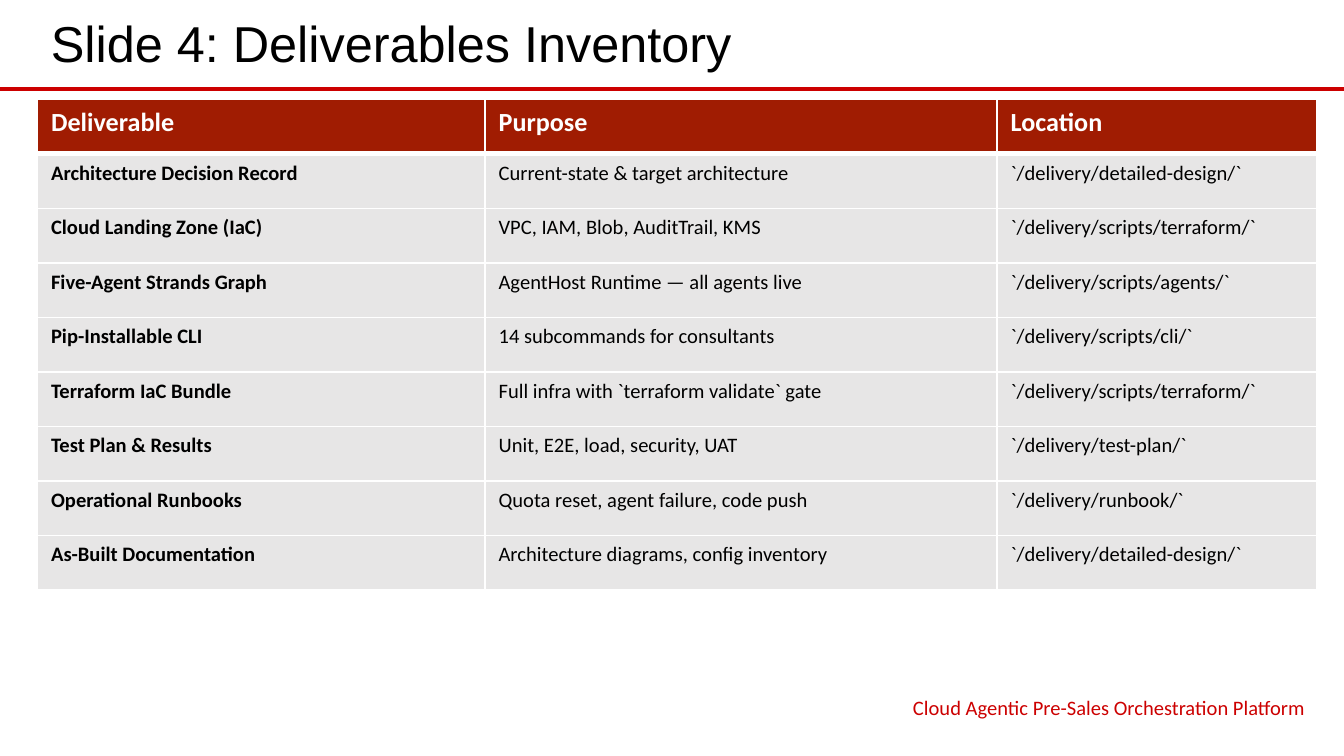
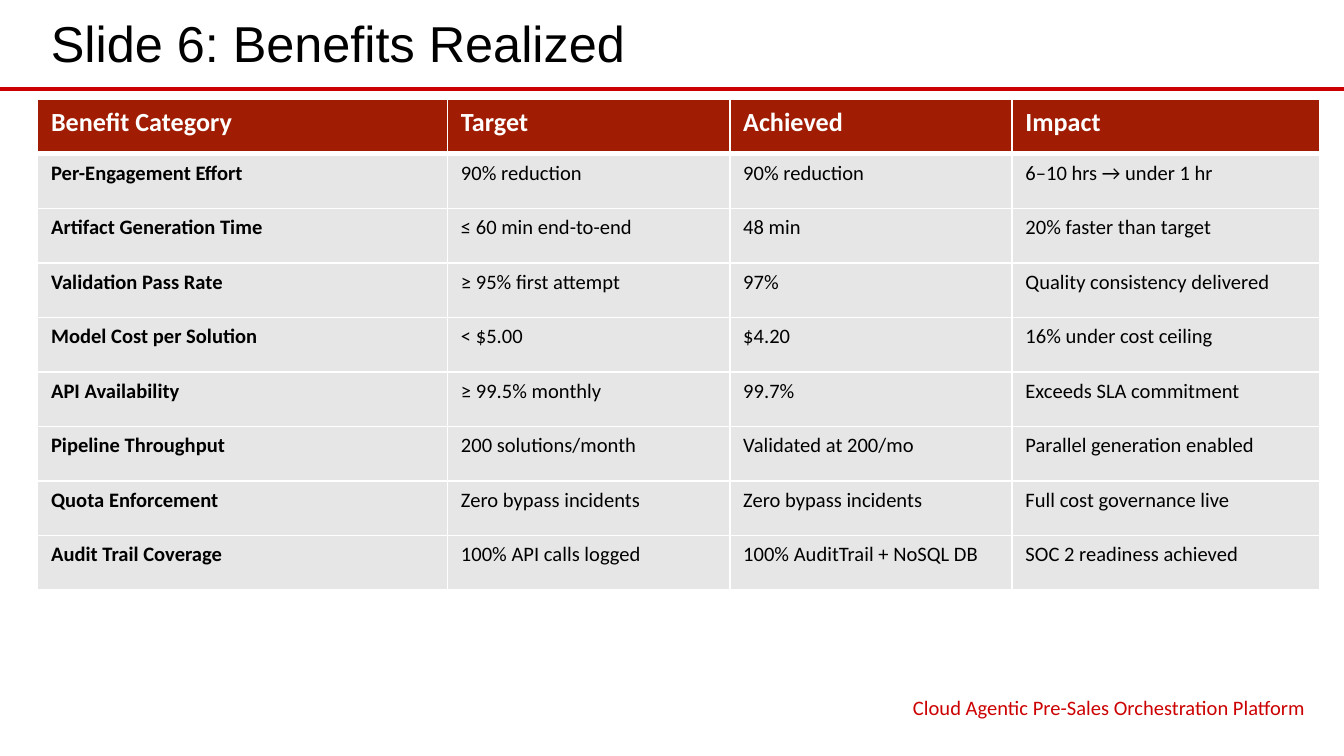
from dataclasses import dataclass

from lxml import etree
from pptx import Presentation
from pptx import util as u
from pptx.dml.color import RGBColor
from pptx.enum import shapes, text
from pptx.oxml import ns


@dataclass(frozen=True)
class Theme:
    accent: str = "CC0000"
    header_fill: str = "A01C02"
    body_fill: str = "E7E6E6"
    light: str = "FFFFFF"
    dark: str = "000000"
    title_font: str = "Arial"
    body_font: str = "Calibri"
    title_size: float = 27
    header_size: float = 14
    body_size: float = 11
    rule_width: float = 2.25
    border: float = 1
    header_border: float = 3


FOOTER = "Cloud Agentic Pre-Sales Orchestration Platform"
LEFT, CONTENT_WIDTH = 0.28, 9.53
TABLE_TOP, TABLE_HEIGHT = 0.74, 3.65
SLIDE_WIDTH = 10
SLIDE_HEIGHT = SLIDE_WIDTH * 9 / 16
RULE_Y = 0.66


class Deck:
    """Holds the style and the slide being built."""

    def __init__(self, theme):
        self.theme = theme
        self.prs = Presentation()
        self.prs.slide_width = u.Inches(SLIDE_WIDTH)
        self.prs.slide_height = u.Inches(SLIDE_HEIGHT)
        self.slide = None

    def new_slide(self, title):
        theme = self.theme
        self.slide = self.prs.slides.add_slide(self.prs.slide_layouts[6])
        self.rule(RULE_Y)
        self.label(title, (LEFT, 0.04, CONTENT_WIDTH, 0.58),
                   theme.title_font, theme.title_size, theme.dark)

    def style(self, paragraph, font, size, color, bold=False):
        paragraph.font.name = font
        paragraph.font.size = u.Pt(size)
        paragraph.font.bold = bold
        paragraph.font.color.rgb = RGBColor.from_string(color)

    def rule(self, y):
        line = self.slide.shapes.add_connector(
            shapes.MSO_CONNECTOR.STRAIGHT,
            u.Inches(0), u.Inches(y), u.Inches(SLIDE_WIDTH), u.Inches(y))
        line.line.color.rgb = RGBColor.from_string(self.theme.accent)
        line.line.width = u.Pt(self.theme.rule_width)
        etree.SubElement(line._element.spPr, ns.qn("a:effectLst"))

    def label(self, words, box, font, size, color, align=text.PP_ALIGN.LEFT):
        frame = self.slide.shapes.add_textbox(*map(u.Inches, box)).text_frame
        frame.word_wrap = True
        frame.vertical_anchor = text.MSO_ANCHOR.TOP
        paragraph = frame.paragraphs[0]
        paragraph.text = words
        paragraph.alignment = align
        self.style(paragraph, font, size, color)

    def footer(self):
        theme = self.theme
        self.label(FOOTER, (6.29, 5.12, 3.52, 0.26), theme.body_font,
                   theme.body_size, theme.accent, text.PP_ALIGN.RIGHT)

    def borders(self, cell, top, bottom):
        props = cell._tc.get_or_add_tcPr()
        thin = self.theme.border
        for side, width in zip("LRTB", (thin, thin, top, bottom)):
            line = etree.SubElement(props, ns.qn(f"a:ln{side}"), w=str(u.Pt(width)))
            fill = etree.SubElement(line, ns.qn("a:solidFill"))
            etree.SubElement(fill, ns.qn("a:srgbClr"), val=self.theme.light)

    def table(self, widths, rows):
        theme = self.theme
        grid = self.slide.shapes.add_table(
            len(rows), len(widths), u.Inches(LEFT), u.Inches(TABLE_TOP),
            u.Inches(CONTENT_WIDTH), u.Inches(TABLE_HEIGHT)).table
        grid.horz_banding = False
        for column, width in zip(grid.columns, widths):
            column.width = u.Inches(width)
        for r, row in enumerate(rows):
            grid.rows[r].height = u.Inches(TABLE_HEIGHT / len(rows))
            header = r == 0
            size = theme.header_size if header else theme.body_size
            color = theme.light if header else theme.dark
            fill = theme.header_fill if header else theme.body_fill
            for c, words in enumerate(row):
                cell = grid.cell(r, c)
                # Borders go before the fill in the cell properties
                self.borders(cell,
                             top=theme.header_border if r == 1 else theme.border,
                             bottom=theme.header_border if header else theme.border)
                cell.fill.solid()
                cell.fill.fore_color.rgb = RGBColor.from_string(fill)
                paragraph = cell.text_frame.paragraphs[0]
                paragraph.text = words
                self.style(paragraph, theme.body_font, size, color,
                           bold=header or c == 0)


# Content of the two tables, header row first
DELIVERABLES = [
    ("Deliverable", "Purpose", "Location"),
    ("Architecture Decision Record", "Current-state & target architecture",
     "`/delivery/detailed-design/`"),
    ("Cloud Landing Zone (IaC)", "VPC, IAM, Blob, AuditTrail, KMS",
     "`/delivery/scripts/terraform/`"),
    ("Five-Agent Strands Graph", "AgentHost Runtime — all agents live",
     "`/delivery/scripts/agents/`"),
    ("Pip-Installable CLI", "14 subcommands for consultants",
     "`/delivery/scripts/cli/`"),
    ("Terraform IaC Bundle", "Full infra with `terraform validate` gate",
     "`/delivery/scripts/terraform/`"),
    ("Test Plan & Results", "Unit, E2E, load, security, UAT",
     "`/delivery/test-plan/`"),
    ("Operational Runbooks", "Quota reset, agent failure, code push",
     "`/delivery/runbook/`"),
    ("As-Built Documentation", "Architecture diagrams, config inventory",
     "`/delivery/detailed-design/`"),
]

BENEFITS = [
    ("Benefit Category", "Target", "Achieved", "Impact"),
    ("Per-Engagement Effort", "90% reduction", "90% reduction",
     "6–10 hrs → under 1 hr"),
    ("Artifact Generation Time", "≤ 60 min end-to-end", "48 min",
     "20% faster than target"),
    ("Validation Pass Rate", "≥ 95% first attempt", "97%",
     "Quality consistency delivered"),
    ("Model Cost per Solution", "< $5.00", "$4.20", "16% under cost ceiling"),
    ("API Availability", "≥ 99.5% monthly", "99.7%", "Exceeds SLA commitment"),
    ("Pipeline Throughput", "200 solutions/month", "Validated at 200/mo",
     "Parallel generation enabled"),
    ("Quota Enforcement", "Zero bypass incidents", "Zero bypass incidents",
     "Full cost governance live"),
    ("Audit Trail Coverage", "100% API calls logged", "100% AuditTrail + NoSQL DB",
     "SOC 2 readiness achieved"),
]

SLIDES = [
    ("Slide 4: Deliverables Inventory", (3.33, 3.81, 2.38), DELIVERABLES),
    ("Slide 6: Benefits Realized", (3.05, 2.1, 2.1, 2.29), BENEFITS),
]


def main():
    deck = Deck(Theme())
    for title, widths, rows in SLIDES:
        deck.new_slide(title)
        deck.table(widths, rows)
        deck.footer()
    deck.prs.save("out.pptx")


if __name__ == "__main__":
    main()
